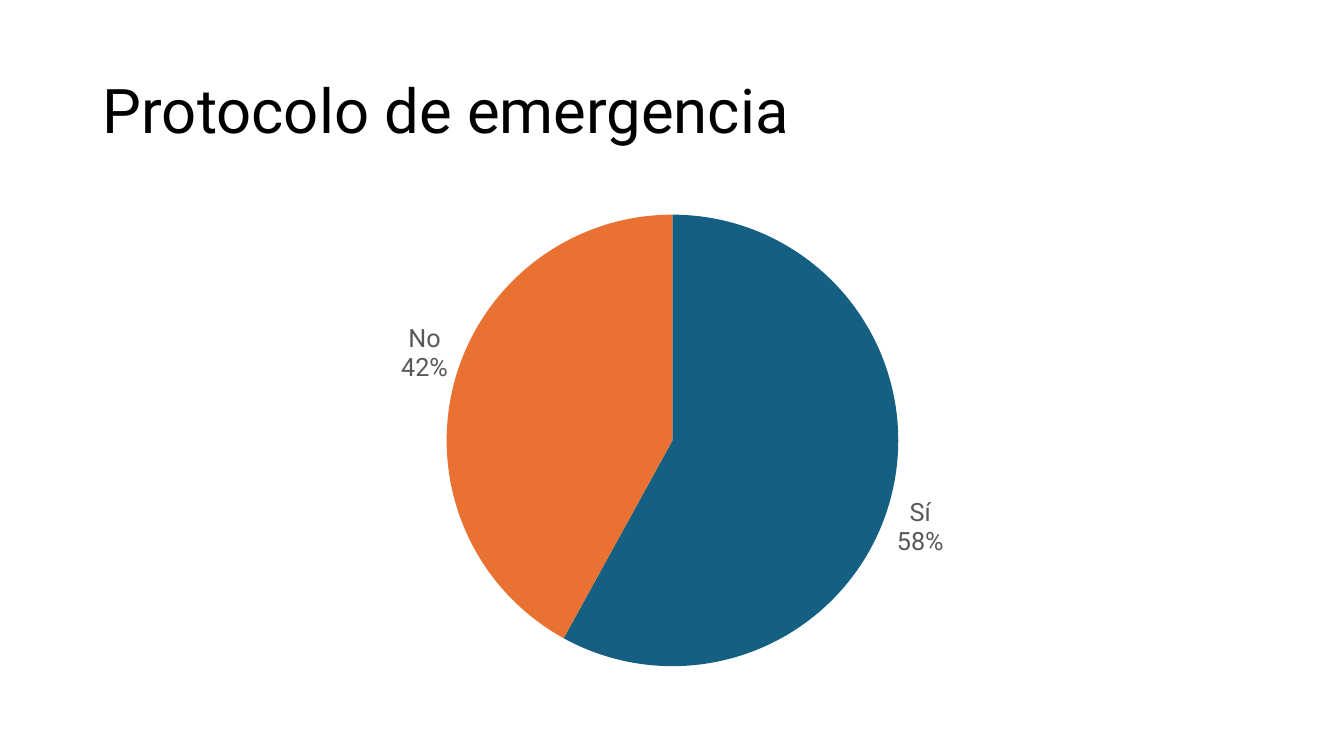
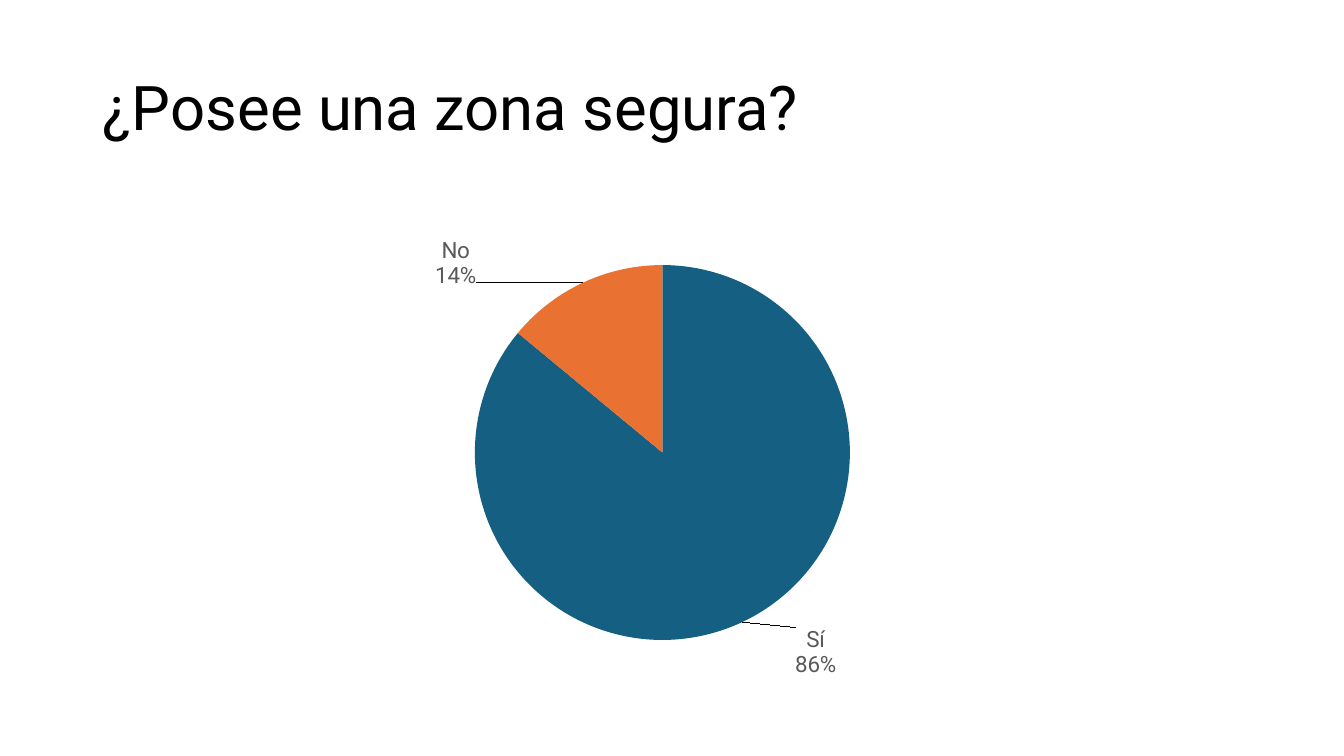
"""Build two survey slides, each with a title and a pie chart."""
import pptx
import pptx.chart.data
import pptx.dml.color
import pptx.enum.chart
import pptx.enum.text
import pptx.oxml
import pptx.oxml.ns
import pptx.util

Inches = pptx.util.Inches
FONT_NAME = "Roboto"
TITLE_COLOR = "000000"
LABEL_COLOR = "595959"
SLICE_COLORS = {"Sí": "156082", "No": "E97132"}
OUTSIDE_END = pptx.enum.chart.XL_LABEL_POSITION.OUTSIDE_END

SURVEY_SLIDES = [
    {
        "title": "Protocolo de emergencia",
        "title_top": 0.4,
        "values": (58, 42),
        "chart_box": (0.92, 2, 11.5, 4.76),
        "pie_box": (4.43, 2.13, 4.48, 4.48),
        "label_size": 18,
        "label_shifts": (),
    },
    {
        "title": "¿Posee una zona segura?",
        "title_top": 0.37,
        "values": (86, 14),
        "chart_box": (0.45, 2.04, 12.24, 4.91),
        "pie_box": (4.71, 2.63, 3.72, 3.72),
        "label_size": 16,
        "label_shifts": ((0.5, 0), (-1.03, 0.11)),
    },
]


def color(hex_value):
    """Return the colour for a hex string."""
    return pptx.dml.color.RGBColor.from_string(hex_value)


def set_attributes(target, values):
    """Set each named attribute on the target."""
    for name, value in values.items():
        setattr(target, name, value)


def format_font(font, size, hex_value):
    """Apply the shared typeface with a size and colour."""
    set_attributes(font, {"name": FONT_NAME, "size": pptx.util.Pt(size), "bold": False})
    font.color.rgb = color(hex_value)


def make_layout(settings):
    """Return a manual chart layout element."""
    items = "".join(f'<c:{name} val="{value}"/>' for name, value in settings.items())
    return pptx.oxml.parse_xml(
        f'<c:layout {pptx.oxml.ns.nsdecls("c")}><c:manualLayout>{items}'
        "</c:manualLayout></c:layout>"
    )


def place_pie(chart, chart_box, pie_box):
    """Place the pie at a position given in slide inches."""
    plot_area = chart.element.find(".//" + pptx.oxml.ns.qn("c:plotArea"))
    for old_layout in plot_area.findall(pptx.oxml.ns.qn("c:layout")):
        plot_area.remove(old_layout)
    left, top, width, height = chart_box
    pie_left, pie_top, pie_width, pie_height = pie_box
    plot_area.insert(0, make_layout({
        "layoutTarget": "inner",
        "xMode": "edge",
        "yMode": "edge",
        "x": (pie_left - left) / width,
        "y": (pie_top - top) / height,
        "w": pie_width / width,
        "h": pie_height / height,
    }))


def show_category_and_percent(element):
    """Show the category above the percentage in a label element."""
    flags = {"showVal": 0, "showCatName": 1, "showSerName": 0, "showPercent": 1}
    for name, value in flags.items():
        element.find(pptx.oxml.ns.qn("c:" + name)).set("val", str(value))
    separator = pptx.oxml.parse_xml(
        f'<c:separator {pptx.oxml.ns.nsdecls("c")}>\n</c:separator>'
    )
    element.find(pptx.oxml.ns.qn("c:showBubbleSize")).addnext(separator)


def add_labels(series, size, shifts, chart_box):
    """Label the slices and move labels by shifts in inches."""
    labels = series.data_labels
    set_attributes(labels, {
        "show_value": False,
        "show_category_name": True,
        "show_percentage": True,
        "position": OUTSIDE_END,
        "number_format": "0%",
        "number_format_is_linked": False,
    })
    format_font(labels.font, size, LABEL_COLOR)
    for index in range(len(shifts)):
        label = series.points[index].data_label
        label.position = OUTSIDE_END
        format_font(label.font, size, LABEL_COLOR)
    all_labels = series.data_labels._element
    point_labels = all_labels.findall(pptx.oxml.ns.qn("c:dLbl"))
    for element in [all_labels, *point_labels]:
        show_category_and_percent(element)
    for element, (right, down) in zip(point_labels, shifts):
        element.insert(1, make_layout({"x": right / chart_box[2], "y": down / chart_box[3]}))


def add_title(slide, text, top):
    """Fill and format the title placeholder."""
    title = slide.shapes.title
    set_attributes(title, {
        "left": Inches(0.92),
        "top": Inches(top),
        "width": Inches(11.5),
        "height": Inches(1.45),
    })
    frame = title.text_frame
    frame.text = text
    set_attributes(frame, {
        "vertical_anchor": pptx.enum.text.MSO_ANCHOR.MIDDLE,
        "auto_size": pptx.enum.text.MSO_AUTO_SIZE.NONE,
        "word_wrap": True,
    })
    paragraph = frame.paragraphs[0]
    set_attributes(paragraph, {
        "alignment": pptx.enum.text.PP_ALIGN.LEFT,
        "line_spacing": 0.9,
    })
    format_font(paragraph.runs[0].font, 44, TITLE_COLOR)


def add_pie(slide, survey):
    """Add the pie chart of the answers."""
    data = pptx.chart.data.CategoryChartData()
    data.categories = list(SLICE_COLORS)
    data.add_series("Series 1", survey["values"])
    chart_box = survey["chart_box"]
    chart = slide.shapes.add_chart(
        pptx.enum.chart.XL_CHART_TYPE.PIE, *map(Inches, chart_box), data
    ).chart
    set_attributes(chart, {"has_title": False, "has_legend": False})
    format_font(chart.font, 10, TITLE_COLOR)
    plot = chart.plots[0]
    plot.vary_by_categories = True
    series = plot.series[0]
    for index, hex_value in enumerate(SLICE_COLORS.values()):
        slice_format = series.points[index].format
        slice_format.fill.solid()
        slice_format.fill.fore_color.rgb = color(hex_value)
        slice_format.line.fill.background()
    add_labels(series, survey["label_size"], survey["label_shifts"], chart_box)
    place_pie(chart, chart_box, survey["pie_box"])


def main():
    """Build and save the presentation."""
    presentation = pptx.Presentation()
    presentation.slide_width = Inches(13.33)
    presentation.slide_height = Inches(7.5)
    for survey in SURVEY_SLIDES:
        slide = presentation.slides.add_slide(presentation.slide_layouts[5])
        add_title(slide, survey["title"], survey["title_top"])
        add_pie(slide, survey)
    presentation.save("out.pptx")


if __name__ == "__main__":
    main()
